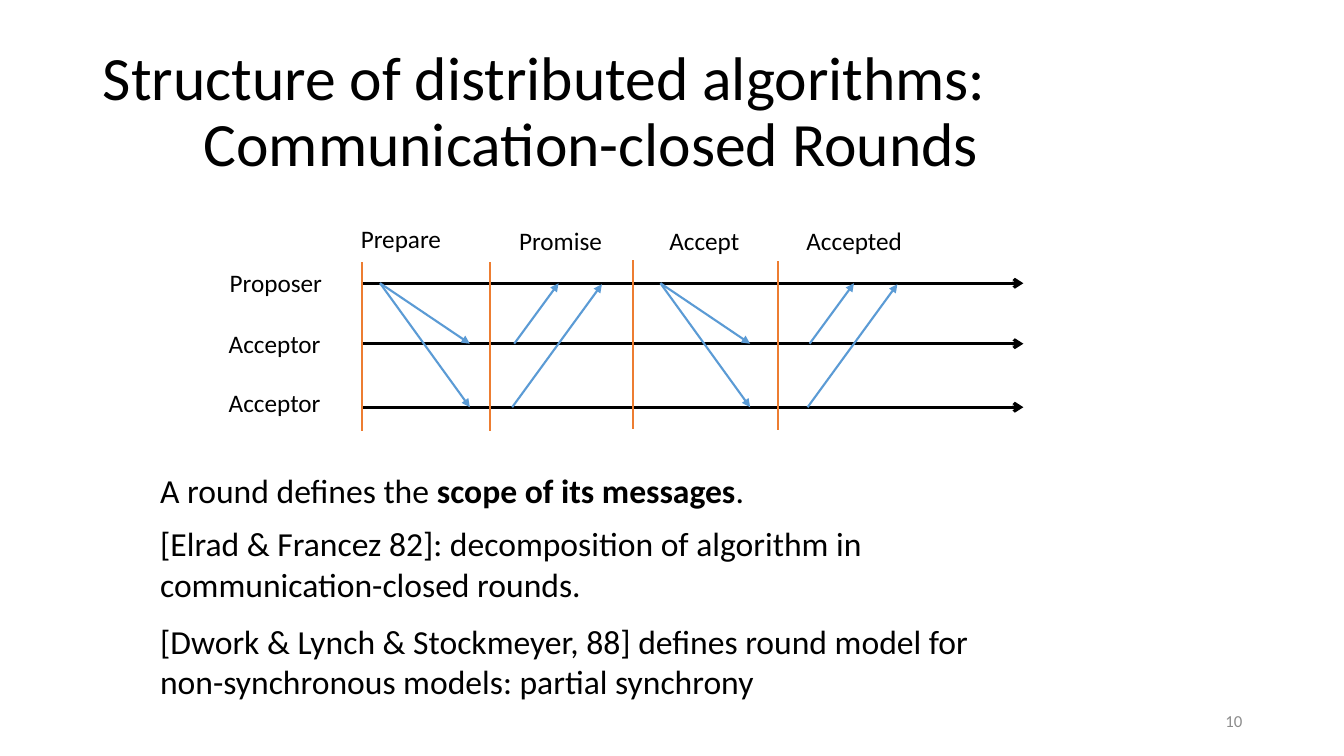
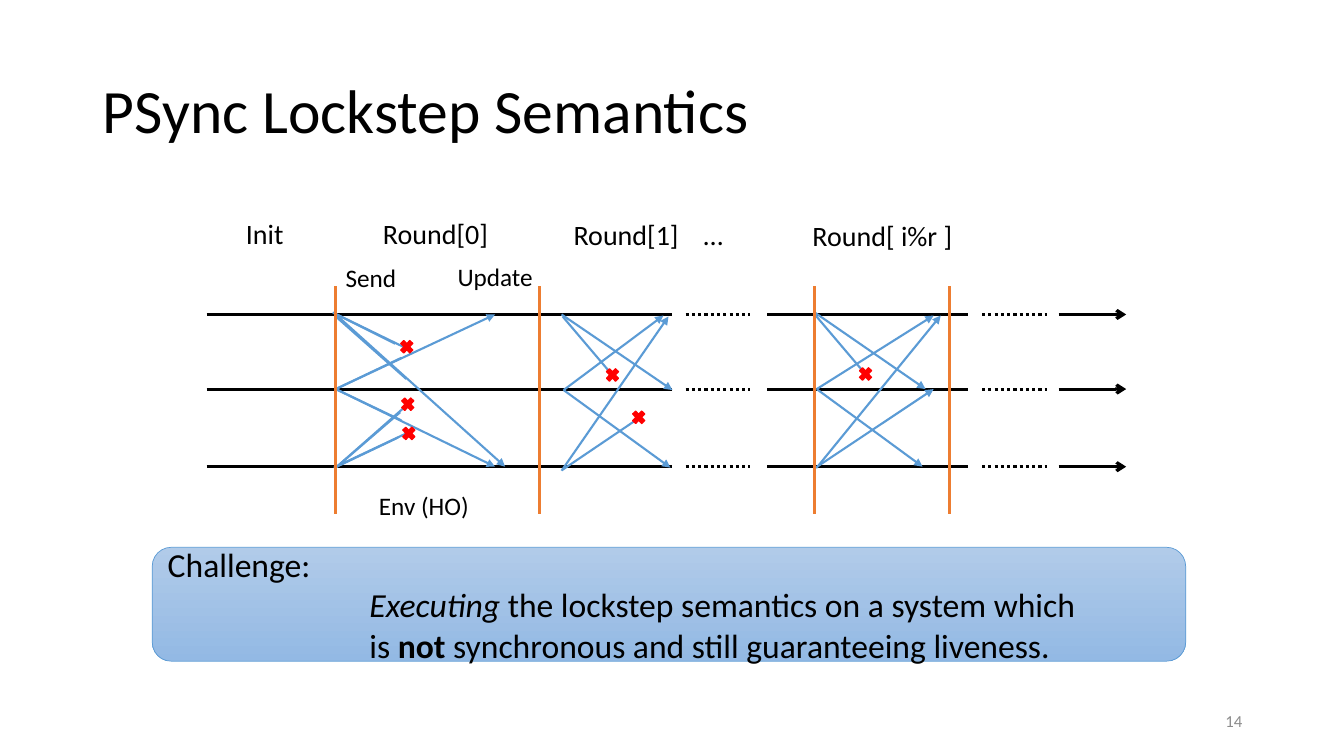
from dataclasses import dataclass
from itertools import product

from lxml.etree import SubElement
from pptx import Presentation
from pptx.dml.color import RGBColor
from pptx.enum.dml import MSO_LINE
from pptx.enum.shapes import MSO_CONNECTOR, MSO_SHAPE
from pptx.enum.text import MSO_ANCHOR, MSO_AUTO_SIZE, PP_ALIGN
from pptx.oxml.ns import qn
from pptx.slide import Slide
from pptx.text.text import _Paragraph as Paragraph
from pptx.util import Inches, Pt

FONT = "Calibri"
COLORS = {
    "text": "000000",
    "number": "8C8C8C",
    "timeline": "000000",
    "message": "5B9BD5",
    "barrier": "ED7D31",
    "lost": "FF0000",
    "panel_top": "B1CBE9",
    "panel_bottom": "93B9E4",
    "panel_edge": "5B9BD5",
}
TITLE_ONLY = 5


@dataclass(frozen=True)
class Span:
    text: str
    bold: bool = False
    italic: bool = False


@dataclass(frozen=True)
class Label:
    text: str
    left: float
    top: float
    width: float


@dataclass(frozen=True)
class Stroke:
    color: str
    width: float
    head: str = ""
    dotted: bool = False


@dataclass(frozen=True)
class Message:
    x1: float
    y1: float
    x2: float
    y2: float
    lost: bool = False


TIMELINE = Stroke("timeline", 2.25)
TIMELINE_END = Stroke("timeline", 2.25, head="arrow")
TIMELINE_GAP = Stroke("timeline", 2.25, dotted=True)
DELIVERED = Stroke("message", 1.5, head="triangle")
DROPPED = Stroke("message", 1.5)


def rgb(name: str) -> RGBColor:
    return RGBColor.from_string(COLORS[name])


def style_para(para: Paragraph, size: float, color: str = "text") -> None:
    para.font.name = FONT
    para.font.size = Pt(size)
    para.font.color.rgb = rgb(color)


def set_indent(para: Paragraph, left: float, first: float = 0) -> None:
    properties = para._p.get_or_add_pPr()
    properties.set("marL", str(Inches(left)))
    properties.set("indent", str(Inches(first)))


def add_spans(para: Paragraph, spans: list[Span]) -> None:
    for span in spans:
        run = para.add_run()
        run.text = span.text
        if span.bold:
            run.font.bold = True
        if span.italic:
            run.font.italic = True


def add_page(deck: Presentation, title: str, number: int) -> Slide:
    page = deck.slides.add_slide(deck.slide_layouts[TITLE_ONLY])
    heading = page.shapes.title
    heading.left, heading.top = Inches(0.92), Inches(0.4)
    heading.width, heading.height = Inches(11.5), Inches(1.45)
    frame = heading.text_frame
    frame.auto_size = MSO_AUTO_SIZE.NONE
    frame.vertical_anchor = MSO_ANCHOR.MIDDLE
    para = frame.paragraphs[0]
    para.text = title
    para.alignment = PP_ALIGN.LEFT
    para.line_spacing = 0.9
    set_indent(para, 1, -1)
    style_para(para, 44)

    box = page.shapes.add_textbox(Inches(9.42), Inches(6.95), Inches(3), Inches(0.4))
    box.text_frame.word_wrap = True
    box.text_frame.vertical_anchor = MSO_ANCHOR.MIDDLE
    para = box.text_frame.paragraphs[0]
    para.text = str(number)
    para.alignment = PP_ALIGN.RIGHT
    style_para(para, 12, "number")
    return page


def add_text(page: Slide, spans: list[Span], left: float, top: float, width: float,
             height: float, size: float, wrap: bool = False) -> None:
    box = page.shapes.add_textbox(Inches(left), Inches(top), Inches(width), Inches(height))
    box.text_frame.word_wrap = wrap
    box.text_frame.auto_size = MSO_AUTO_SIZE.SHAPE_TO_FIT_TEXT
    para = box.text_frame.paragraphs[0]
    add_spans(para, spans)
    style_para(para, size)


def add_labels(page: Slide, labels: list[Label], size: float, height: float) -> None:
    for label in labels:
        add_text(page, [Span(label.text)], label.left, label.top, label.width, height, size)


def add_line(page: Slide, x1: float, y1: float, x2: float, y2: float, stroke: Stroke) -> None:
    connector = page.shapes.add_connector(
        MSO_CONNECTOR.STRAIGHT, Inches(x1), Inches(y1), Inches(x2), Inches(y2))
    connector.line.color.rgb = rgb(stroke.color)
    connector.line.width = Pt(stroke.width)
    if stroke.dotted:
        connector.line.dash_style = MSO_LINE.ROUND_DOT
    if stroke.head:
        SubElement(connector.line._get_or_add_ln(), qn("a:tailEnd"), type=stroke.head)
    SubElement(connector._element.spPr, qn("a:effectLst"))


def add_messages(page: Slide, messages: list[Message]) -> None:
    for message in messages:
        stroke = DROPPED if message.lost else DELIVERED
        add_line(page, message.x1, message.y1, message.x2, message.y2, stroke)


def add_cross(page: Slide, left: float, top: float) -> None:
    cross = page.shapes.add_shape(
        MSO_SHAPE.MATH_MULTIPLY, Inches(left), Inches(top), Inches(0.17), Inches(0.18))
    cross.shadow.inherit = False
    cross.fill.solid()
    cross.fill.fore_color.rgb = rgb("lost")
    cross.line.color.rgb = rgb("lost")
    cross.line.width = Pt(1)


def add_challenge(page: Slide) -> None:
    panel = page.shapes.add_shape(
        MSO_SHAPE.ROUNDED_RECTANGLE, Inches(1.51), Inches(5.43), Inches(10.25), Inches(1.13))
    panel.shadow.inherit = False
    panel.fill.gradient()
    panel.fill.gradient_angle = 270
    for stop, name in zip(panel.fill.gradient_stops, ("panel_top", "panel_bottom")):
        stop.color.rgb = rgb(name)
    panel.line.color.rgb = rgb("panel_edge")
    panel.line.width = Pt(0.5)
    frame = panel.text_frame
    frame.word_wrap = True
    frame.vertical_anchor = MSO_ANCHOR.MIDDLE
    rows = [
        (0, [Span("Challenge:")]),
        (2, [Span("Executing", italic=True), Span(" the lockstep semantics on a system which")]),
        (2, [Span("is "), Span("not ", bold=True),
             Span("synchronous and still guaranteeing liveness.")]),
    ]
    for index, (indent, spans) in enumerate(rows):
        para = frame.add_paragraph() if index else frame.paragraphs[0]
        para.alignment = PP_ALIGN.LEFT
        set_indent(para, indent)
        add_spans(para, spans)
        style_para(para, 24)


def build_rounds(deck: Presentation) -> None:
    page = add_page(
        deck, "Structure of distributed algorithms: \vCommunication-closed Rounds", 10)
    proposer, first, second = 2.81, 3.41, 4.04
    for y in (proposer, first, second):
        add_line(page, 3.59, y, 10.15, y, TIMELINE_END)
    for send, reply in ((3.77, 5.08), (6.55, 8.01)):
        add_messages(page, [
            Message(send, proposer, send + 0.89, first),
            Message(send, proposer, send + 0.89, second),
            Message(reply + 0.02, first, reply + 0.46, proposer),
            Message(reply, second, reply + 0.89, proposer + 0.01),
        ])
    add_labels(page, [
        Label("Proposer", 2.18, 2.6, 1.13),
        Label("Acceptor", 2.17, 3.21, 1.12),
        Label("Acceptor", 2.17, 3.79, 1.12),
        Label("Prepare", 3.48, 2.17, 1.01),
        Label("Promise", 5.05, 2.19, 1.03),
        Label("Accept", 6.54, 2.19, 0.9),
        Label("Accepted", 7.9, 2.19, 1.16),
    ], 18, 0.4)
    for x, top in ((3.59, 2.6), (4.86, 2.6), (6.28, 2.58), (7.72, 2.59)):
        add_line(page, x, top, x, top + 1.68, Stroke("barrier", 1.5))
    add_text(page, [Span("A round defines the "), Span("scope of its messages", bold=True),
                    Span(".")], 1.49, 4.61, 6.05, 0.5, 24)
    citations = (
        "[Elrad & Francez 82]: decomposition of algorithm in communication-closed rounds.",
        "[Dwork & Lynch & Stockmeyer, 88] defines round model for "
        "non-synchronous models: partial synchrony",
    )
    for index, citation in enumerate(citations):
        add_text(page, [Span(citation)], 1.49, 5.14 + 0.97 * index, 8.54, 0.91, 24, wrap=True)


def build_lockstep(deck: Presentation) -> None:
    page = add_page(deck, "PSync Lockstep Semantics", 14)
    segments = (
        (2.05, 6.67, TIMELINE),
        (6.8, 7.44, TIMELINE_GAP),
        (7.61, 9.6, TIMELINE),
        (9.74, 10.38, TIMELINE_GAP),
        (10.5, 11.17, TIMELINE_END),
    )
    top, middle, bottom = 3.12, 3.86, 4.63
    for y, (start, end, stroke) in product((top, middle, bottom), segments):
        add_line(page, start, y, end, y, stroke)
    add_messages(page, [
        Message(3.33, top, 5.01, bottom),
        Message(3.33, middle, 4.91, top),
        Message(3.33, middle, 4.91, bottom),
        Message(3.3, 3.1, 4.02, 3.45, lost=True),
        Message(3.33, 4.64, 4, 4.05, lost=True),
        Message(3.31, 4.64, 4.05, 4.29, lost=True),
        Message(3.33, 3.14, 4.03, 3.76, lost=True),
        Message(3.33, middle, 3.98, 3.55, lost=True),
        Message(3.34, top, 3.92, 3.41, lost=True),
        Message(3.33, middle, 3.98, 4.17, lost=True),
        Message(3.33, 4.64, 3.97, 4.09, lost=True),
        Message(3.32, 4.64, 3.95, 4.34, lost=True),
        Message(5.58, 3.14, 6.03, 3.67, lost=True),
        Message(5.59, 3.87, 6.58, 3.13),
        Message(5.57, top, 6.67, 3.87),
        Message(5.59, 3.87, 6.65, 4.64),
        Message(5.57, 4.67, 6.63, 3.14),
        Message(5.58, 4.66, 6.29, 4.18, lost=True),
        Message(8.09, 3.13, 8.54, 3.66, lost=True),
        Message(8.1, middle, 9.26, 3.13),
        Message(8.08, 3.1, 9.18, middle),
        Message(8.1, middle, 9.15, bottom),
        Message(8.1, 4.64, 9.33, 3.13),
        Message(8.09, 4.64, 9.26, middle),
    ])
    for x in (3.33, 5.35, 8.08, 9.42):
        add_line(page, x, 2.84, x, 5.1, Stroke("barrier", 2.25))
    for left, cross_top in ((3.95, 3.35), (3.96, 3.92), (3.97, 4.21),
                            (5.99, 3.63), (6.25, 4.05), (8.5, 3.62)):
        add_cross(page, left, cross_top)
    add_labels(page, [
        Label("Send", 3.33, 2.55, 0.71),
        Label("Update", 4.44, 2.54, 0.96),
        Label("Env (HO)", 3.66, 4.82, 1.1),
    ], 18, 0.4)
    add_labels(page, [
        Label("Init", 2.34, 2.1, 0.58),
        Label("Round[0]", 3.7, 2.1, 1.25),
        Label("Round[1]", 5.59, 2.11, 1.25),
        Label("…", 6.88, 2.11, 0.4),
        Label("Round[ i%r ]", 7.96, 2.12, 1.6),
    ], 20, 0.44)
    add_challenge(page)


def main() -> None:
    deck = Presentation()
    deck.slide_width, deck.slide_height = Inches(13.33), Inches(7.5)
    build_rounds(deck)
    build_lockstep(deck)
    deck.save("out.pptx")


main()
